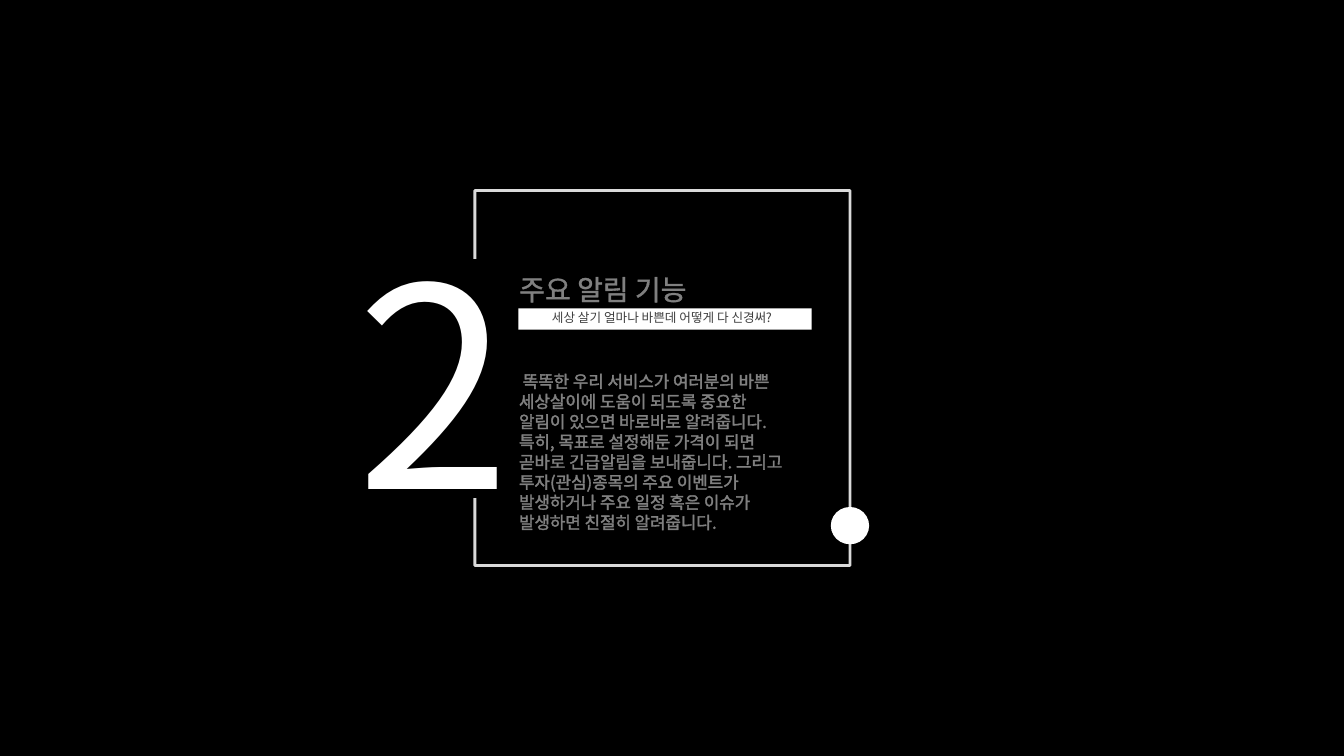
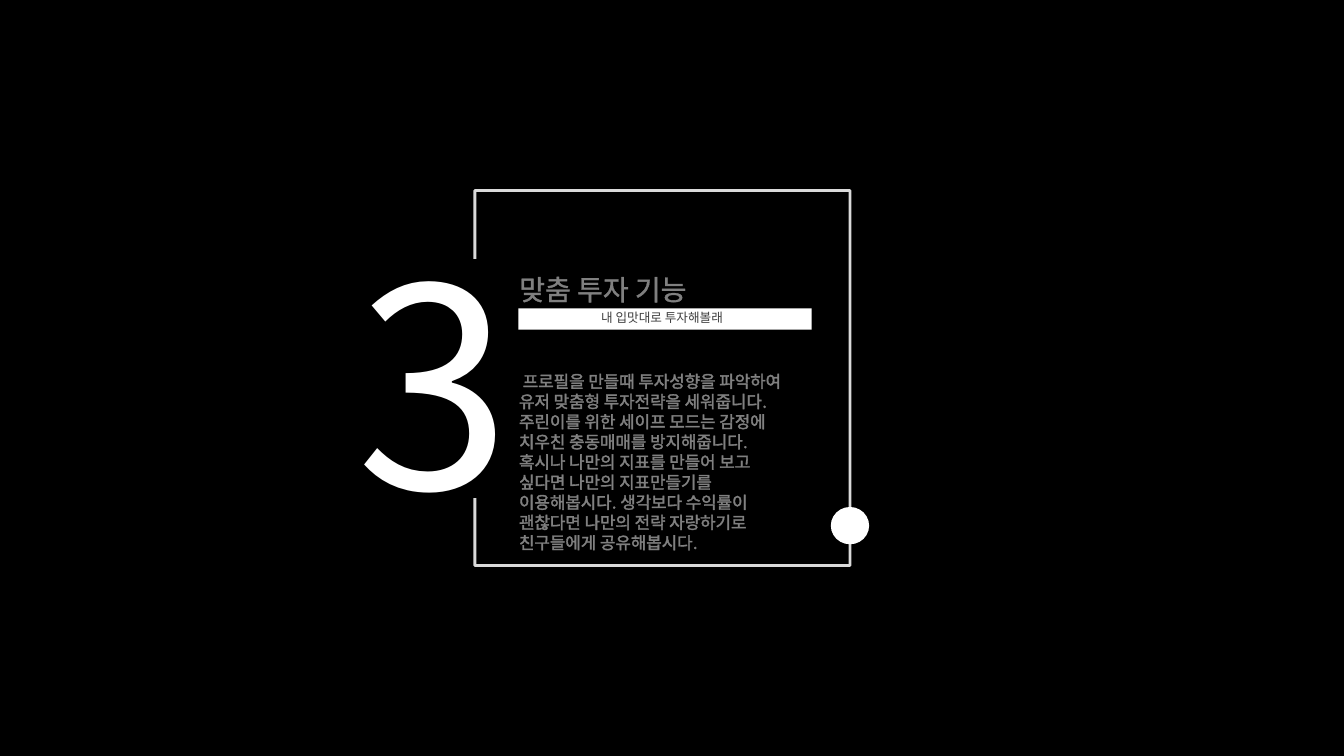
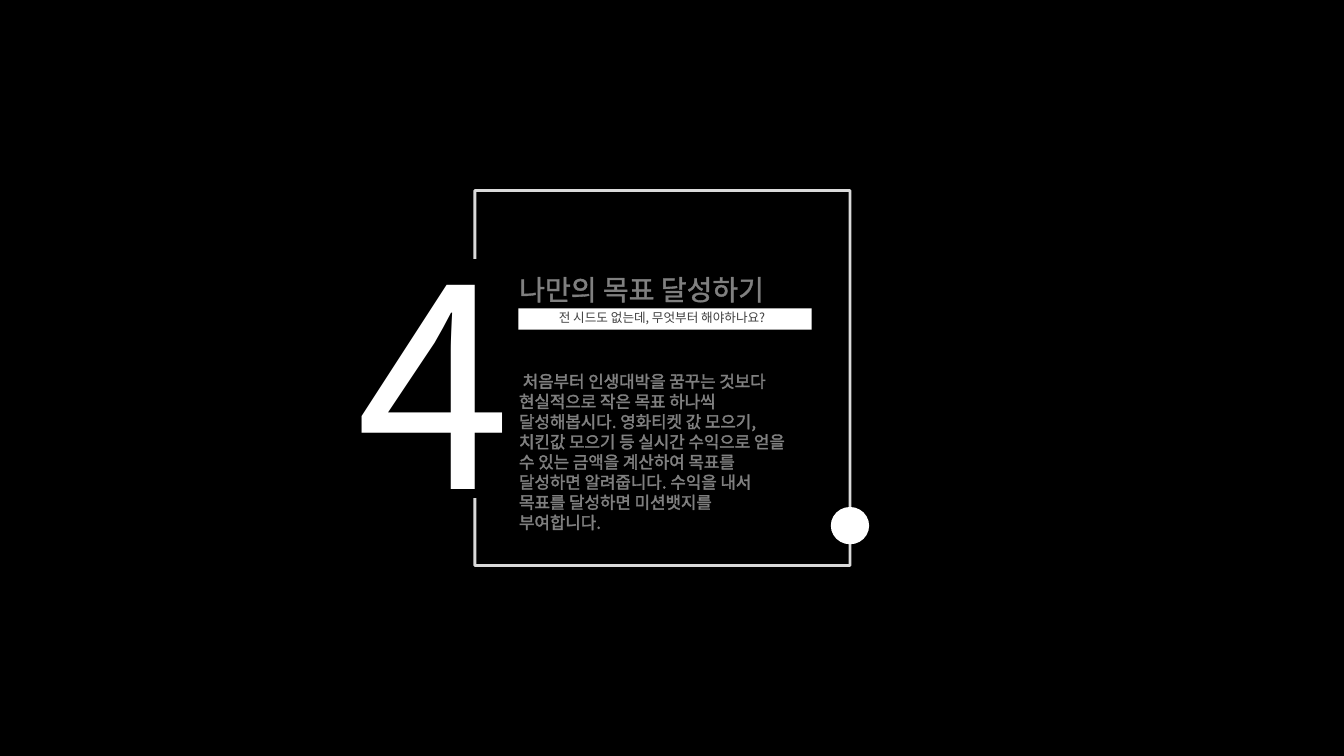
from dataclasses import dataclass

from lxml.etree import SubElement
from pptx import Presentation
from pptx.dml.color import RGBColor
from pptx.enum.shapes import MSO_SHAPE
from pptx.enum.text import MSO_ANCHOR, MSO_AUTO_SIZE, PP_ALIGN
from pptx.oxml.ns import qn
from pptx.util import Inches, Pt


@dataclass(frozen=True)
class Theme:
    """Colours, font and type sizes shared by every slide."""

    black: str = "000000"
    white: str = "FFFFFF"
    frame: str = "F2F2F2"
    caption: str = "404040"
    font: str = "Noto Sans CJK KR"
    number_size: int = 199
    title_size: int = 20
    body_size: int = 12
    caption_size: int = 9
    frame_width: float = 2
    outline_width: float = 0.75


@dataclass(frozen=True)
class Box:
    """A rectangle in inches."""

    left: float
    top: float
    width: float
    height: float

    def inside(self, left, top, width, height):
        """Return a box offset from this one's top left corner."""
        return Box(self.left + left, self.top + top, width, height)

    def lengths(self):
        """Return left, top, width and height as lengths."""
        return [Inches(side) for side in (self.left, self.top, self.width, self.height)]


@dataclass(frozen=True)
class Feature:
    """The wording of one feature slide."""

    number: str
    title: str
    caption: str
    body: str
    body_height: float


THEME = Theme()
CARD = Box(4.71, 1.89, 3.72, 3.72)
FEATURES = [
    Feature(
        "2", "주요 알림 기능", "세상 살기 얼마나 바쁜데 어떻게 다 신경써?",
        " 똑똑한 우리 서비스가 여러분의 바쁜 세상살이에 도움이 되도록 중요한 "
        "알림이 있으면 바로바로 알려줍니다. 특히, 목표로 설정해둔 가격이 되면 "
        "곧바로 긴급알림을 보내줍니다. 그리고 투자(관심)종목의 주요 "
        "이벤트가 발생하거나 주요 일정 혹은 이슈가 발생하면 친절히 알려줍니다.",
        1.72,
    ),
    Feature(
        "3", "맞춤 투자 기능", "내 입맛대로 투자해볼래",
        " 프로필을 만들때 투자성향을 파악하여 유저 맞춤형 투자전략을 세워줍니다. "
        "주린이를 위한 세이프 모드는 감정에 치우친 충동매매를 방지해줍니다. "
        "혹시나 나만의 지표를 만들어 보고 싶다면 나만의 지표만들기를 "
        "이용해봅시다. 생각보다 수익률이 괜찮다면 나만의 전략 자랑하기로 "
        "친구들에게 공유해봅시다.",
        1.92,
    ),
    Feature(
        "4", "나만의 목표 달성하기", "전 시드도 없는데, 무엇부터 해야하나요?",
        " 처음부터 인생대박을 꿈꾸는 것보다 현실적으로 작은 목표 하나씩 "
        "달성해봅시다. 영화티켓 값 모으기, 치킨값 모으기 등 실시간 수익으로 얻을 "
        "수 있는 금액을 계산하여 목표를 달성하면 알려줍니다. 수익을 내서 "
        "목표를 달성하면 미션뱃지를 부여합니다.",
        1.51,
    ),
]


def set_alpha(fill_parent, percent):
    """Set the opacity of the solid colour held by an element."""
    colour = fill_parent.find(".//" + qn("a:srgbClr"))
    SubElement(colour, qn("a:alpha"), val=str(percent * 1000))


def outline_text(span):
    """Give a run a thin half-transparent white or grey outline."""
    properties = span.font._element if hasattr(span.font, "_element") else span._r.get_or_add_rPr()
    line = properties.makeelement(qn("a:ln"), {"w": str(Pt(THEME.outline_width))})
    fill = SubElement(line, qn("a:solidFill"))
    SubElement(fill, qn("a:srgbClr"), val=str(span.font.color.rgb))
    set_alpha(line, 50)
    properties.insert(0, line)


def write(shape, text, *, size, color=THEME.white, align=PP_ALIGN.LEFT, wrap=True, outline=True):
    """Write one formatted paragraph into a shape."""
    frame = shape.text_frame
    frame.word_wrap = wrap
    frame.auto_size = MSO_AUTO_SIZE.SHAPE_TO_FIT_TEXT
    frame.vertical_anchor = MSO_ANCHOR.TOP
    para = frame.paragraphs[0]
    para.alignment = align
    span = para.add_run()
    span.text = text
    span.font.size = Pt(size)
    span.font.name = THEME.font
    span.font.color.rgb = RGBColor.from_string(color)
    SubElement(span._r.get_or_add_rPr(), qn("a:ea"), typeface=THEME.font)
    if outline:
        outline_text(span)


def add_text(shapes, box, text, **style):
    """Add a text box with one formatted paragraph."""
    write(shapes.add_textbox(*box.lengths()), text, **style)


def add_block(shapes, kind, box, color=None):
    """Add a flat shape without a line, filled when a colour is given."""
    block = shapes.add_shape(kind, *box.lengths())
    block.shadow.inherit = False
    block.line.fill.background()
    if color:
        block.fill.solid()
        block.fill.fore_color.rgb = RGBColor.from_string(color)
    else:
        block.fill.background()
    return block


def add_frame(page, card):
    """Draw the square frame with its dot and the gap for the number."""
    shapes = page.shapes.add_group_shape().shapes
    square = add_block(shapes, MSO_SHAPE.RECTANGLE, card)
    square.line.color.rgb = RGBColor.from_string(THEME.frame)
    square.line.width = Pt(THEME.frame_width)
    set_alpha(square.line._get_or_add_ln(), 90)
    add_block(shapes, MSO_SHAPE.OVAL, card.inside(3.53, 3.14, 0.38, 0.37), THEME.white)
    add_block(page.shapes, MSO_SHAPE.RECTANGLE, card.inside(-0.5, 0.68, 1.01, 2.37), THEME.black)


def add_title(page, box, text):
    """Place the title placeholder in front of the frame."""
    title = page.shapes.title
    title.left, title.top, title.width, title.height = box.lengths()
    write(title, text, size=THEME.title_size)
    title.element.getparent().append(title.element)


def add_caption(page, box, text):
    """Draw the white band with its centred caption."""
    shapes = page.shapes.add_group_shape().shapes
    add_block(shapes, MSO_SHAPE.RECTANGLE, box, THEME.white)
    add_text(shapes, box.inside(-0.03, -0.03, box.width, 0.25), text,
             size=THEME.caption_size, color=THEME.caption, align=PP_ALIGN.CENTER)


def add_feature_page(deck, feature, card):
    """Build one feature slide around its card."""
    page = deck.slides.add_slide(deck.slide_layouts.get_by_name("Title Only"))
    add_frame(page, card)
    add_text(page.shapes, card.inside(-1.27, 0.15, 1.77, 3.45), feature.number,
             size=THEME.number_size, wrap=False, outline=False)
    add_title(page, card.inside(0.34, 0.76, 2.9, 0.44), feature.title)
    add_caption(page, card.inside(0.43, 1.17, 2.91, 0.21), feature.caption)
    add_text(page.shapes, card.inside(0.34, 1.74, 2.9, feature.body_height),
             feature.body, size=THEME.body_size)


def main():
    """Build and save the deck."""
    deck = Presentation()
    deck.slide_width, deck.slide_height = Inches(13.33), Inches(7.5)
    backdrop = deck.slide_master.background.fill
    backdrop.solid()
    backdrop.fore_color.rgb = RGBColor.from_string(THEME.black)
    for feature in FEATURES:
        add_feature_page(deck, feature, CARD)
    deck.save("out.pptx")


if __name__ == "__main__":
    main()
